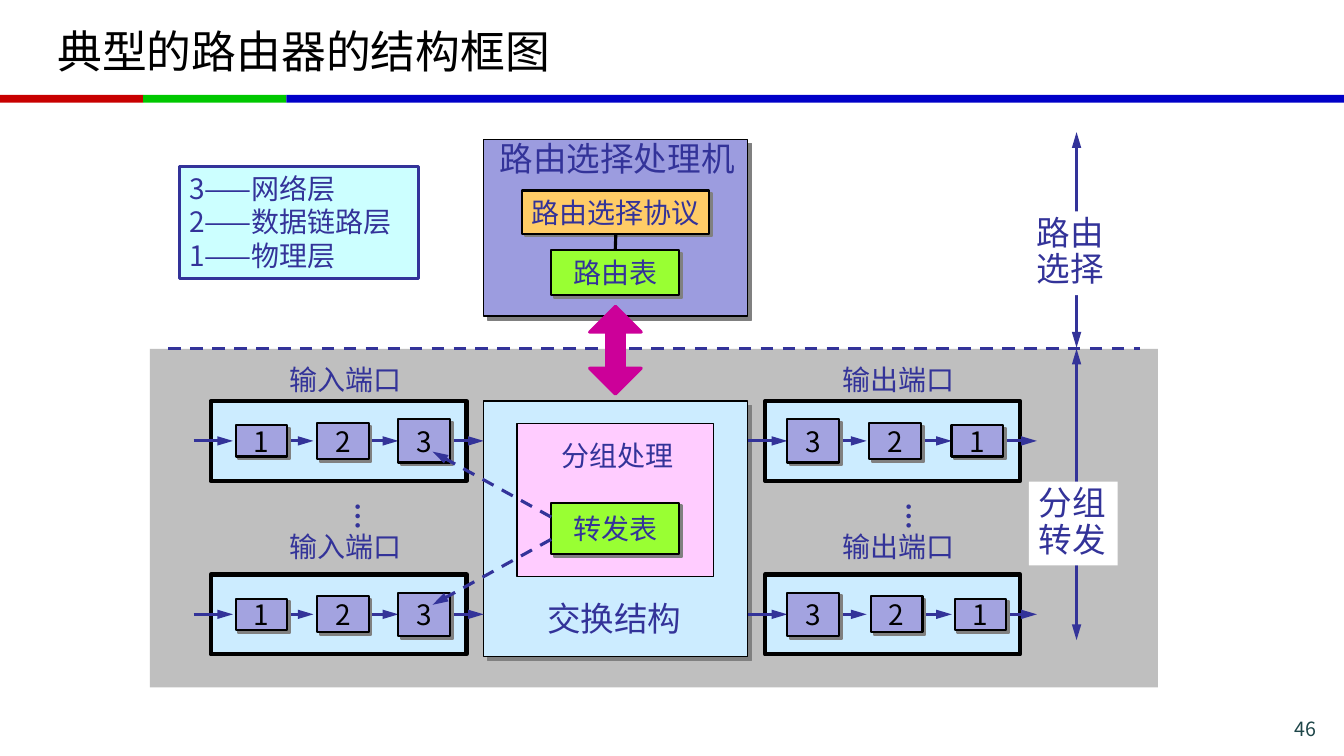
"""Build a slide with the block diagram of a typical router."""
from dataclasses import dataclass
from typing import Optional

import pptx
import pptx.dml.color
import pptx.enum.dml
import pptx.enum.shapes
import pptx.enum.text
import pptx.oxml
import pptx.oxml.ns
import pptx.util
from pptx.util import Cm


@dataclass(frozen=True)
class Theme:
    font: str = "Noto Sans CJK SC"
    title: int = 32
    large: int = 24
    normal: int = 20
    number: int = 14
    ink: str = "333399"
    black: str = "000000"
    white: str = "FFFFFF"
    number_ink: str = "1E4649"
    red: str = "C80000"
    green: str = "00C800"
    blue: str = "0000C8"
    band: str = "BFBFBF"
    processor: str = "9C9CDF"
    protocol: str = "FFCC66"
    table: str = "99FF33"
    port: str = "CCECFF"
    layer: str = "A3A3E0"
    packet: str = "FFCCFF"
    legend: str = "CCFFFF"
    link: str = "CC0099"
    shadow: str = "808080"


@dataclass(frozen=True)
class Box:
    x: float
    y: float
    w: float
    h: float
    fill: str
    line: Optional[str] = None
    weight: float = 1.5
    shadow: float = 0
    text: str = ""
    color: str = "333399"
    kind: int = pptx.enum.shapes.MSO_SHAPE.RECTANGLE


@dataclass(frozen=True)
class Label:
    x: float
    y: float
    w: float
    h: float
    text: str
    size: int
    fill: Optional[str] = None
    line: Optional[str] = None
    spacing: Optional[float] = None
    rotation: int = 0
    bold: bool = False


@dataclass(frozen=True)
class Line:
    x1: float
    y1: float
    x2: float
    y2: float
    color: str = "333399"
    head: bool = False
    tail: bool = True
    dash: bool = False


@dataclass(frozen=True)
class PortSide:
    name: str
    x: float
    w: float
    label_x: float
    dots_x: float
    layers: str
    layer_x: float
    pitches: tuple
    entry_x: float
    arrow_x: float


T = Theme()
HEIGHTS = {"1": 0.79, "2": 0.91, "3": 1.09}
ROWS = ((11.11, 9.02), (15.48, 13.23))
SIDES = (
    PortSide("输入端口", 5.31, 6.45, 7.04, 8.51, "123", 5.94, (2.05, 2.05), 4.88, 7.04),
    PortSide("输出端口", 19.28, 6.43, 20.98, 22.4, "321", 19.84, (2.07, 2.11), 18.85, 20.98),
)


def rgb(value: str):
    return pptx.dml.color.RGBColor.from_string(value)


def style_text(tf, size: int, color: str, bold: bool = False) -> None:
    for p in tf.paragraphs:
        for r in p.runs:
            r.font.name = T.font
            r.font.size = pptx.util.Pt(size)
            r.font.bold = bold
            r.font.color.rgb = rgb(color)
            ea = pptx.oxml.parse_xml(f'<a:ea {pptx.oxml.ns.nsdecls("a")} typeface="{T.font}"/>')
            r.font._element.find(pptx.oxml.ns.qn("a:latin")).addnext(ea)


def draw_box(slide, b: Box):
    sp = slide.shapes.add_shape(b.kind, Cm(b.x), Cm(b.y), Cm(b.w), Cm(b.h))
    sp.shadow.inherit = False
    sp.fill.solid()
    sp.fill.fore_color.rgb = rgb(b.fill)
    if b.line:
        sp.line.color.rgb = rgb(b.line)
        sp.line.width = pptx.util.Pt(b.weight)
    else:
        sp.line.fill.background()
    if b.shadow:
        effects = sp._element.spPr.find(pptx.oxml.ns.qn("a:effectLst"))
        effects.append(pptx.oxml.parse_xml(
            f'<a:outerShdw {pptx.oxml.ns.nsdecls("a")} dist="{pptx.util.Pt(b.shadow)}" dir="2700000" '
            f'algn="ctr" rotWithShape="0"><a:srgbClr val="{T.shadow}"/></a:outerShdw>'))
    if b.text:
        tf = sp.text_frame
        tf.text = b.text
        tf.word_wrap = False
        tf.vertical_anchor = pptx.enum.text.MSO_ANCHOR.MIDDLE
        tf.paragraphs[0].alignment = pptx.enum.text.PP_ALIGN.CENTER
        style_text(tf, T.normal, b.color)
    return sp


def draw_label(slide, label: Label) -> None:
    sp = slide.shapes.add_textbox(Cm(label.x), Cm(label.y), Cm(label.w), Cm(label.h))
    sp.rotation = label.rotation
    if label.fill:
        sp.fill.solid()
        sp.fill.fore_color.rgb = rgb(label.fill)
    if label.line:
        sp.line.color.rgb = rgb(label.line)
        sp.line.width = pptx.util.Pt(2.25)
    tf = sp.text_frame
    tf.text = label.text
    tf.word_wrap = False
    tf.auto_size = pptx.enum.text.MSO_AUTO_SIZE.SHAPE_TO_FIT_TEXT
    for p in tf.paragraphs:
        p.line_spacing = label.spacing
    style_text(tf, label.size, T.ink, label.bold)


def draw_line(slide, n: Line):
    cxn = slide.shapes.add_connector(
        pptx.enum.shapes.MSO_CONNECTOR.STRAIGHT, Cm(n.x1), Cm(n.y1), Cm(n.x2), Cm(n.y2))
    cxn.line.color.rgb = rgb(n.color)
    cxn.line.width = pptx.util.Pt(2.25)
    if n.dash:
        cxn.line.dash_style = pptx.enum.dml.MSO_LINE.DASH
    ln = cxn.line._get_or_add_ln()
    for tag, wanted in (("headEnd", n.head), ("tailEnd", n.tail)):
        if wanted:
            ln.append(pptx.oxml.parse_xml(
                f'<a:{tag} {pptx.oxml.ns.nsdecls("a")} type="triangle" w="med" len="lg"/>'))
    cxn._element.spPr.append(pptx.oxml.parse_xml(f'<a:effectLst {pptx.oxml.ns.nsdecls("a")}/>'))
    return cxn


def draw_port(slide, side: PortSide, row: int) -> None:
    y, label_y = ROWS[row]
    draw_box(slide, Box(side.x, y - 1, side.w, 2.01, T.port, T.black, 3))
    draw_label(slide, Label(side.label_x, label_y, 3.33, 1.09, side.name, T.normal))
    arrows = [draw_line(slide, Line(side.entry_x, y, side.entry_x + 0.99, y))]
    for i in range(3):
        x = side.arrow_x + 2.145 * i
        arrows.append(draw_line(slide, Line(x, y, x + 0.86, y)))
    for i, layer in enumerate(side.layers):
        h = HEIGHTS[layer]
        sp = draw_box(slide, Box(side.layer_x + side.pitches[row] * i, y - h / 2, 1.3, h,
                                 T.layer, T.black, 1.5, 2.8, layer, T.black))
        if layer == "3":
            arrows[i].end_connect(sp, 1)
        if i == 2:
            arrows[3].begin_connect(sp, 3)


def draw_processor(slide) -> None:
    draw_box(slide, Box(12.19, 3.51, 6.65, 4.45, T.processor, T.black, 1, 4.2))
    draw_label(slide, Label(12.34, 3.35, 6.43, 1.27, "路由选择处理机", T.large))
    protocol = draw_box(slide, Box(13.16, 4.8, 4.72, 1.09, T.protocol, T.black, 1.5, 2.8, "路由选择协议"))
    table = draw_box(slide, Box(13.89, 6.3, 3.23, 1.14, T.table, T.black, 1.5, 2.8, "路由表"))
    cxn = draw_line(slide, Line(15.52, 5.89, 15.52, 6.3, T.black, tail=False))
    cxn.begin_connect(protocol, 2)
    cxn.end_connect(table, 0)


def draw_fabric(slide) -> None:
    draw_box(slide, Box(12.19, 10.11, 6.65, 6.43, T.port, T.black, 1, 4.2))
    draw_label(slide, Label(13.54, 14.94, 3.89, 1.27, "交换结构", T.large))
    draw_box(slide, Box(13.03, 10.67, 4.95, 3.86, T.packet, T.black, 0.75))
    draw_box(slide, Box(13.89, 12.67, 3.23, 1.3, T.table, T.black, 1.5, 2.8, "转发表"))
    draw_label(slide, Label(13.89, 10.92, 3.33, 1.09, "分组处理", T.normal))


def draw_frame(slide) -> None:
    for x, w, color in ((0, 3.61, T.red), (3.61, 3.61, T.green), (7.22, 26.65, T.blue)):
        draw_box(slide, Box(x, 2.39, w, 0.2, color))
    title = slide.shapes.title
    title.left, title.top, title.width, title.height = Cm(1.19), Cm(0.2), Cm(31.47), Cm(2.13)
    tf = title.text_frame
    tf.text = "典型的路由器的结构框图"
    tf.vertical_anchor = pptx.enum.text.MSO_ANCHOR.MIDDLE
    tf.paragraphs[0].alignment = pptx.enum.text.PP_ALIGN.LEFT
    style_text(tf, T.title, T.black)
    tf = slide.shapes.add_textbox(Cm(30.12), Cm(17.93), Cm(3.3), Cm(0.71)).text_frame
    tf.text = "46"
    tf.word_wrap = True
    tf.paragraphs[0].alignment = pptx.enum.text.PP_ALIGN.RIGHT
    style_text(tf, T.number, T.number_ink)


def main() -> None:
    prs = pptx.Presentation()
    prs.slide_width, prs.slide_height = Cm(33.87), Cm(19.05)
    slide = prs.slides.add_slide(prs.slide_layouts[5])
    draw_frame(slide)
    draw_box(slide, Box(3.78, 8.79, 25.4, 8.53, T.band))
    draw_processor(slide)
    draw_fabric(slide)
    for side in SIDES:
        for row in range(len(ROWS)):
            draw_port(slide, side, row)
        draw_label(slide, Label(side.dots_x, 12.37, 1.02, 1.12, "…", T.normal, rotation=90, bold=True))
    draw_line(slide, Line(4.24, 8.79, 28.73, 8.79, tail=False, dash=True))
    for y1, y2, x, y, text in ((3.33, 8.76, 25.88, 5.33, "路由\n选择"),
                               (8.79, 16.13, 25.93, 12.14, "分组\n转发")):
        draw_line(slide, Line(27.13, y1, 27.13, y2, head=True))
        draw_label(slide, Label(x, y, 2.24, 2.11, text, T.large, T.white, spacing=0.9))
    for y1, y2 in ((13.03, 11.38), (13.59, 15.24)):
        draw_line(slide, Line(13.89, y1, 10.9, y2, dash=True))
    draw_label(slide, Label(4.52, 4.19, 6.02, 2.82, "3——网络层\n2——数据链路层\n1——物理层",
                            T.normal, T.legend, T.ink))
    sp = draw_box(slide, Box(14.86, 7.72, 1.3, 2.21, T.link, T.link, 2.25,
                             kind=pptx.enum.shapes.MSO_SHAPE.UP_DOWN_ARROW))
    sp.adjustments[0], sp.adjustments[1] = 0.5, 0.34
    prs.save("out.pptx")


if __name__ == "__main__":
    main()
